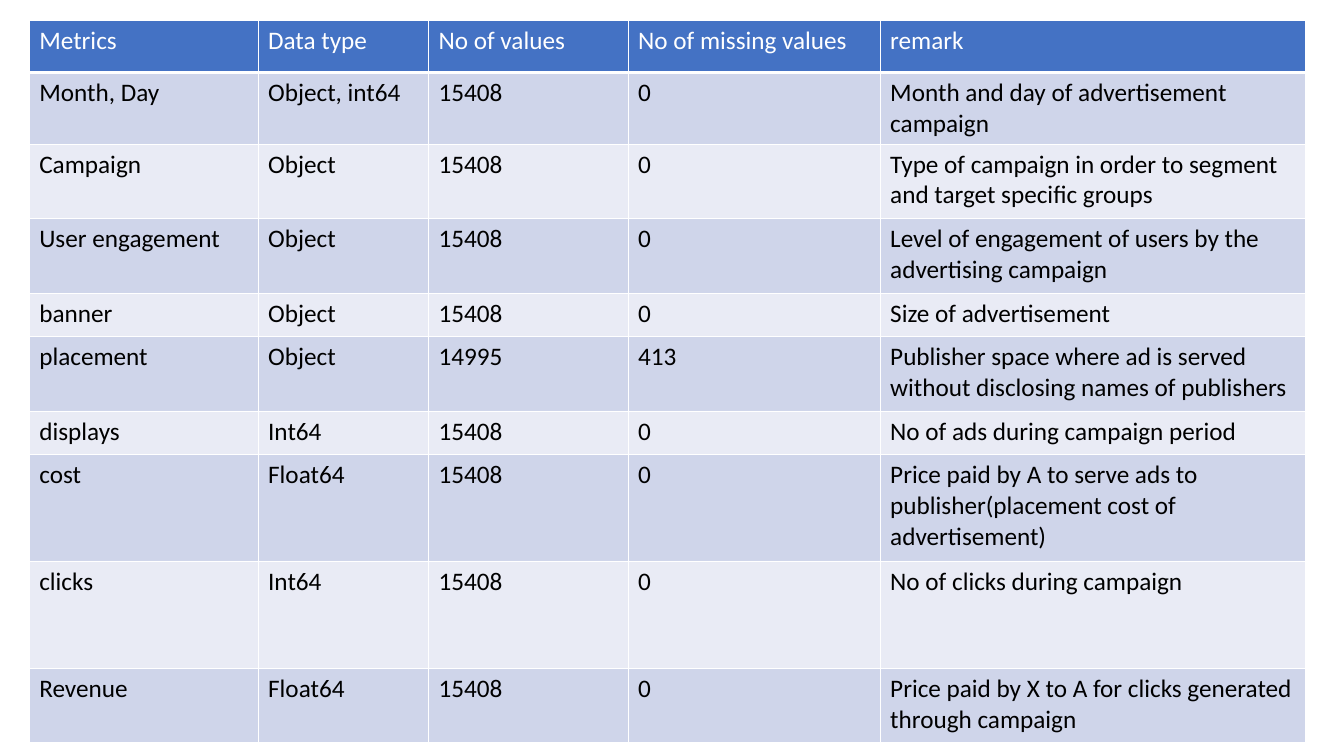
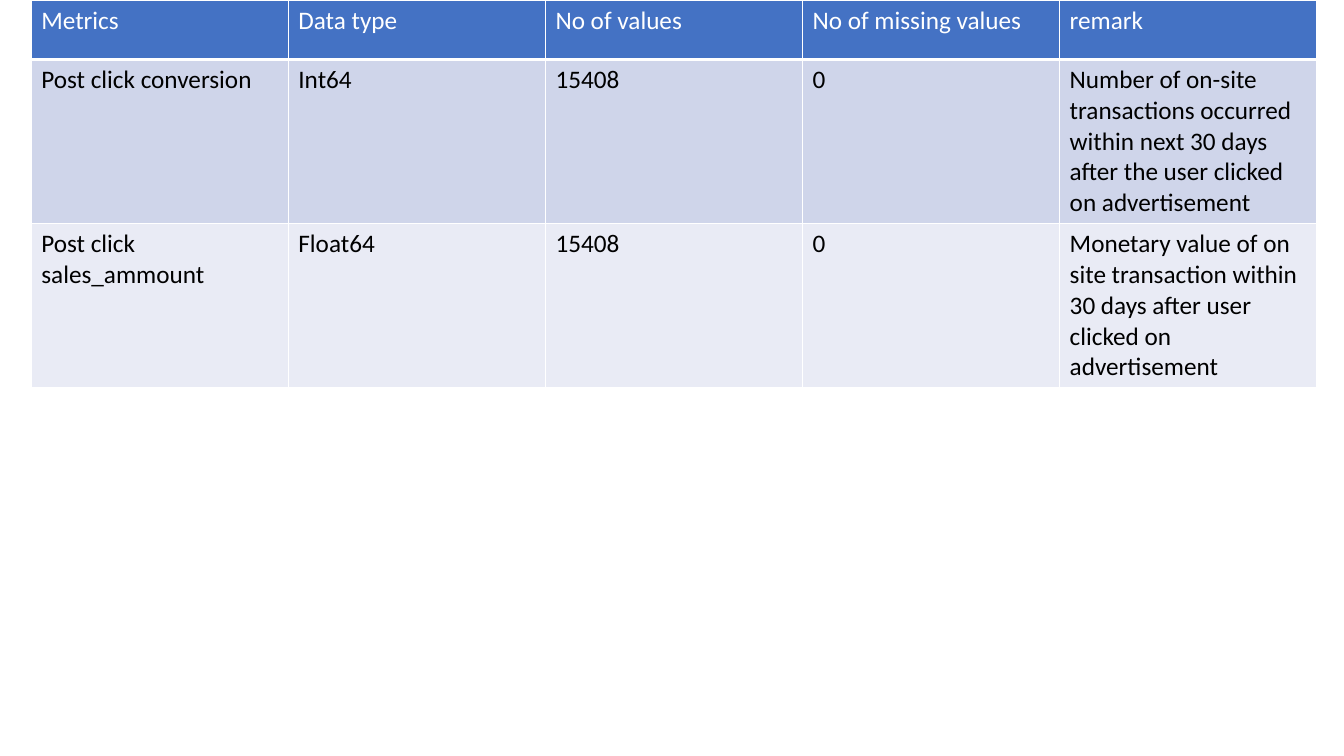
import lxml.etree
import pptx
import pptx.dml.color
import pptx.oxml
import pptx.oxml.ns
import pptx.util

Inches = pptx.util.Inches
Pt = pptx.util.Pt

FONT = "Calibri"
WHITE, BLACK = "FFFFFF", "000000"
HEADER_FILL = "4472C4"
BAND_FILLS = ["CFD5EA", "E9EBF5"]
HEADINGS = ["Metrics", "Data type", "No of values", "No of missing values", "remark"]

CAMPAIGN_METRICS = [
    ["Month, Day", "Object, int64", "15408", "0", "Month and day of advertisement campaign"],
    ["Campaign", "Object", "15408", "0",
     "Type of campaign in order to segment and target specific groups"],
    ["User engagement", "Object", "15408", "0",
     "Level of engagement of users by the advertising campaign"],
    ["banner", "Object", "15408", "0", "Size of advertisement"],
    ["placement", "Object", "14995", "413",
     "Publisher space where ad is served without disclosing names of publishers"],
    ["displays", "Int64", "15408", "0", "No of ads during campaign period"],
    ["cost", "Float64", "15408", "0",
     "Price paid by A to serve ads to publisher(placement cost of advertisement)"],
    ["clicks", "Int64", "15408", "0", "No of clicks during campaign"],
    ["Revenue", "Float64", "15408", "0",
     "Price paid by X to A for clicks generated through campaign"],
]
POST_CLICK_METRICS = [
    ["Post click conversion", "Int64", "15408", "0",
     "Number of on-site transactions occurred within next 30 days "
     "after the user clicked on advertisement"],
    ["Post click sales_ammount", "Float64", "15408", "0",
     "Monetary value of on site transaction within 30 days after user clicked on advertisement"],
]


def rgb(color):
    """Turn a hex string into a colour."""
    return pptx.dml.color.RGBColor.from_string(color)


def set_borders(cell, bottom):
    """Draw white lines round a cell, with its own bottom width in points."""
    qn = pptx.oxml.ns.qn
    tc_pr = cell._tc.get_or_add_tcPr()
    for side, width in [("L", 1), ("R", 1), ("T", 1), ("B", bottom)]:
        ln = lxml.etree.SubElement(tc_pr, qn(f"a:ln{side}"), w=str(Pt(width)))
        fill = lxml.etree.SubElement(ln, qn("a:solidFill"))
        lxml.etree.SubElement(fill, qn("a:srgbClr"), val=WHITE)


def fill_cell(cell, text, fill, color, bottom=1):
    """Write and format one table cell."""
    set_borders(cell, bottom)
    cell.fill.solid()
    cell.fill.fore_color.rgb = rgb(fill)
    r = cell.text_frame.paragraphs[0].add_run()
    r.text = text
    r.font.name = FONT
    r.font.size = Pt(18)
    r.font.bold = False
    r.font.color.rgb = rgb(color)


def add_metrics_slide(prs, left, top, widths, heights, metrics):
    """Add a slide with a banded table of metrics at the given corner."""
    s = prs.slides.add_slide(prs.slide_layouts[6])
    table = s.shapes.add_table(
        len(heights), len(widths), Inches(left), Inches(top),
        Inches(sum(widths)), Inches(sum(heights))).table
    for column, width in zip(table.columns, widths):
        column.width = Inches(width)
    for row, height in zip(table.rows, heights):
        row.height = Inches(height)
    for cell, heading in zip(table.rows[0].cells, HEADINGS):
        fill_cell(cell, heading, HEADER_FILL, WHITE, bottom=3)
    for i, values in enumerate(metrics):
        for cell, value in zip(table.rows[i + 1].cells, values):
            fill_cell(cell, value, BAND_FILLS[i % 2], BLACK)


def main():
    """Build and save the presentation."""
    prs = pptx.Presentation()
    prs.slide_width, prs.slide_height = Inches(13.33), Inches(7.5)
    add_metrics_slide(
        prs, 0.29, 0.2, [2.27, 1.69, 1.98, 2.5, 4.22],
        [0.52, 0.71, 0.74, 0.74, 0.43, 0.74, 0.43, 1.06, 1.06, 0.74], CAMPAIGN_METRICS)
    add_metrics_slide(
        prs, 0.31, 0, [2.55] * 5, [0.59, 1.63, 1.63], POST_CLICK_METRICS)
    prs.save("out.pptx")


if __name__ == "__main__":
    main()
